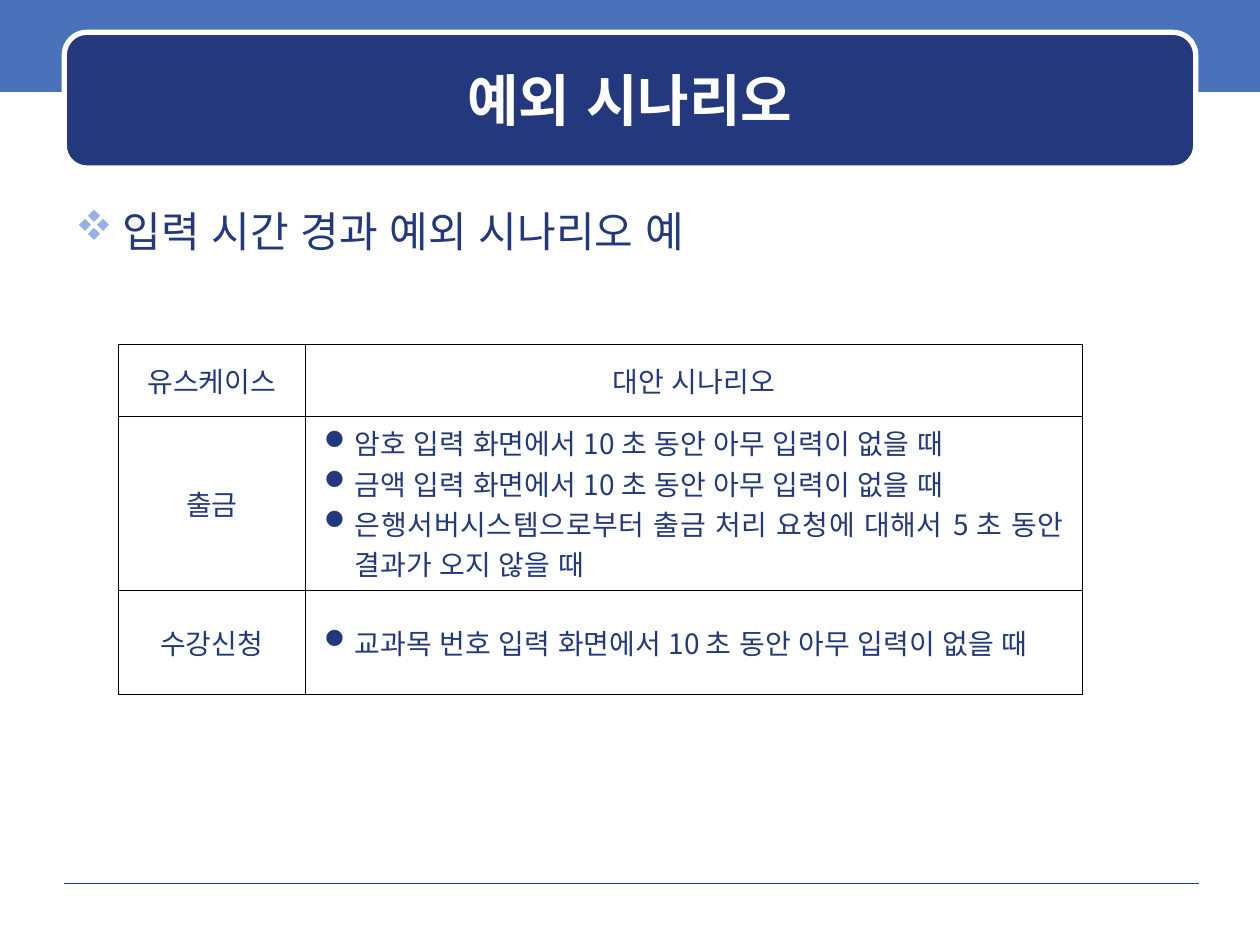
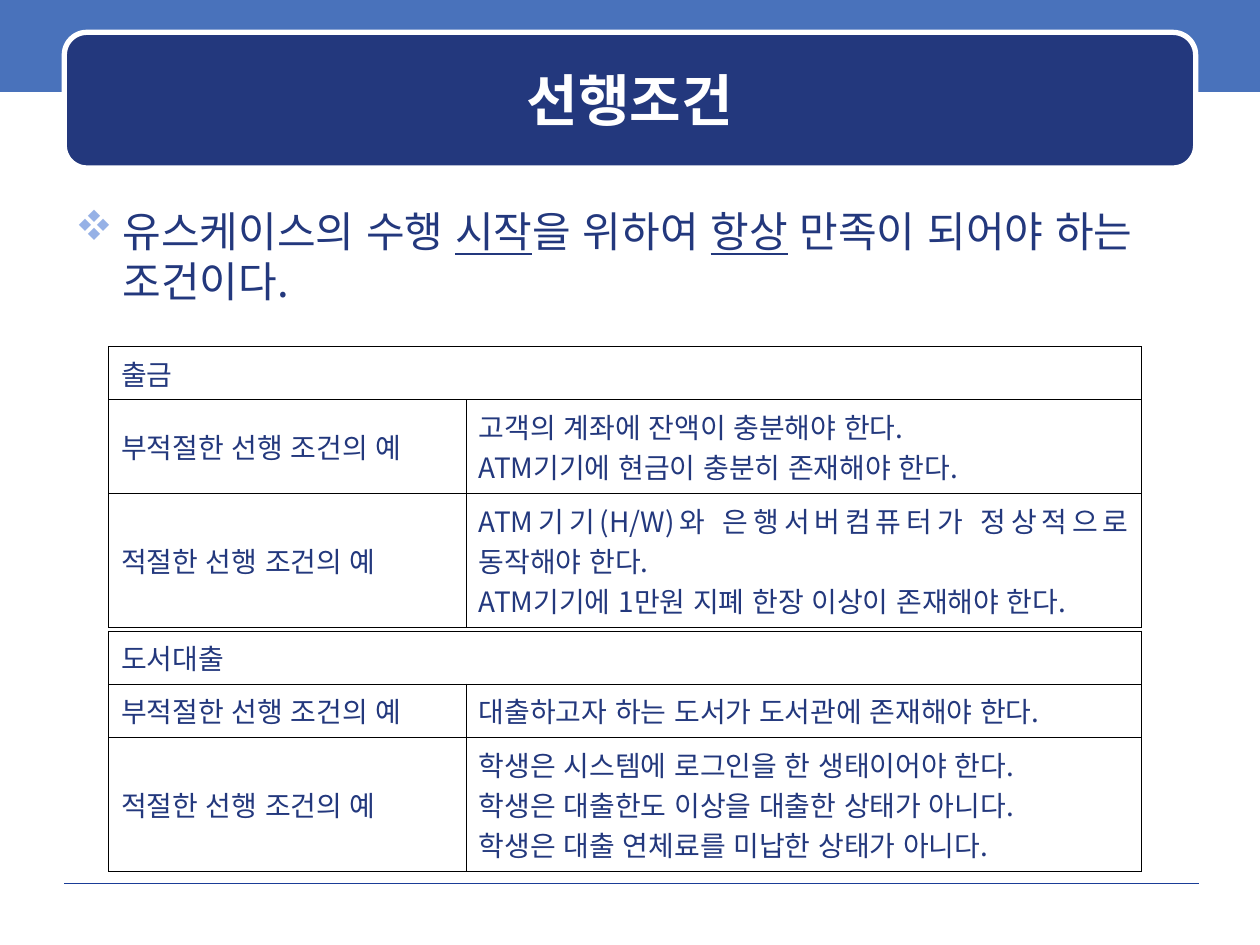
from dataclasses import dataclass
from lxml.etree import SubElement
from pptx import Presentation
from pptx.dml.color import RGBColor
from pptx.enum.lang import MSO_LANGUAGE_ID
from pptx.enum.shapes import MSO_CONNECTOR, MSO_SHAPE
from pptx.enum.text import MSO_ANCHOR, MSO_AUTO_SIZE, PP_ALIGN
from pptx.oxml.ns import qn
from pptx.util import Pt


@dataclass(frozen=True)
class Theme:
    font: str = "Noto Sans CJK KR"
    bullet_font: str = "Wingdings"
    diamond: str = "v"  # four diamonds in the bullet font
    dot: str = "l"  # filled circle in the bullet font
    navy: str = "23387D"
    band: str = "4972BB"
    rule: str = "1A3D97"
    marker: str = "96B1E6"
    white: str = "FFFFFF"
    border: str = "000000"
    title_size: int = 32
    body_size: int = 24
    table_size: int = 16


theme = Theme()


def write(frame, text, size, color=theme.navy, bold=None, align=PP_ALIGN.LEFT,
          bullet=None, bullet_color=theme.navy, indent=0):
    """Write one paragraph per line; words between underscores are underlined."""
    for index, line in enumerate(text.split("\n")):
        para = frame.paragraphs[0] if index == 0 else frame.add_paragraph()
        para.alignment = align
        if bullet:
            props = para._p.get_or_add_pPr()
            props.set("marL", str(Pt(indent)))
            props.set("indent", str(-Pt(indent)))
            SubElement(SubElement(props, qn("a:buClr")), qn("a:srgbClr"), val=bullet_color)
            SubElement(props, qn("a:buFont"), typeface=theme.bullet_font, charset="2")
            SubElement(props, qn("a:buChar"), char=bullet)
        for part, words in enumerate(line.split("_")):
            span = para.add_run()
            span.text = words
            font = span.font
            font.name, font.size, font.bold = theme.font, Pt(size), bold
            font.color.rgb = RGBColor.from_string(color)
            font.language_id = MSO_LANGUAGE_ID.KOREAN
            if part % 2:
                font.underline = True
            SubElement(span._r.rPr, qn("a:ea"), typeface=theme.font)


def style_cell(cell, margin):
    """Give a cell thin borders on all sides, no fill and its margins."""
    cell.vertical_anchor = MSO_ANCHOR.MIDDLE
    cell.margin_left = cell.margin_right = Pt(margin)
    cell.margin_top = cell.margin_bottom = Pt(3.6)
    props = cell._tc.get_or_add_tcPr()
    for side in ("lnL", "lnR", "lnT", "lnB"):
        edge = SubElement(props, qn(f"a:{side}"), w=str(Pt(0.45)))
        fill = SubElement(edge, qn("a:solidFill"))
        SubElement(fill, qn("a:srgbClr"), val=theme.border)
    cell.fill.background()


# Content: a table whose row has a single text spans both columns
center = {"align": PP_ALIGN.CENTER}
justify = {"align": PP_ALIGN.JUSTIFY}
bulleted = {"align": PP_ALIGN.JUSTIFY, "bullet": theme.dot, "indent": 17.5}
one_line, two_lines, three_lines = 30.4, 53.5, 76.7

exception_table = {
    "left": 67.5, "top": 196.75, "margin": 10.8,
    "columns": [107, 444], "heights": [41, 99.5, 59.5],
    "formats": [center, bulleted], "header": center,
    "rows": [
        ["유스케이스", "대안 시나리오"],
        ["출금", "암호 입력 화면에서 10 초 동안 아무 입력이 없을 때\n"
                 "금액 입력 화면에서 10 초 동안 아무 입력이 없을 때\n"
                 "은행서버시스템으로부터 출금 처리 요청에 대해서 5 초 동안 결과가 오지 않을 때"],
        ["수강신청", "교과목 번호 입력 화면에서 10 초 동안 아무 입력이 없을 때"],
    ],
}
condition_style = {
    "left": 62, "margin": 7.2, "columns": [204.5, 386],
    "formats": [justify, justify], "header": justify,
}
withdrawal_table = {
    **condition_style, "top": 198, "heights": [one_line, two_lines, three_lines],
    "rows": [
        ["출금"],
        ["부적절한 선행 조건의 예", "고객의 계좌에 잔액이 충분해야 한다.\n"
                                    "ATM기기에 현금이 충분히 존재해야 한다."],
        ["적절한 선행 조건의 예", "ATM기기(H/W)와 은행서버컴퓨터가 정상적으로 동작해야 한다.\n"
                                  "ATM기기에 1만원 지폐 한장 이상이 존재해야 한다."],
    ],
}
lending_table = {
    **condition_style, "top": 360.5, "heights": [one_line, one_line, three_lines],
    "rows": [
        ["도서대출"],
        ["부적절한 선행 조건의 예", "대출하고자 하는 도서가 도서관에 존재해야 한다."],
        ["적절한 선행 조건의 예", "학생은 시스템에 로그인을 한 생태이어야 한다.\n"
                                  "학생은 대출한도 이상을 대출한 상태가 아니다.\n"
                                  "학생은 대출 연체료를 미납한 상태가 아니다."],
    ],
}
pages = [
    ("예외 시나리오", "입력 시간 경과 예외 시나리오 예", [exception_table]),
    ("선행조건", "유스케이스의 수행 _시작_을 위하여 _항상_ 만족이 되어야 하는 조건이다.",
     [withdrawal_table, lending_table]),
]

deck = Presentation()
deck.slide_width, deck.slide_height = Pt(720), Pt(540)

for heading, statement, tables in pages:
    page = deck.slides.add_slide(deck.slide_layouts[5])
    shapes = page.shapes

    # Top band and title plate
    band = shapes.add_shape(MSO_SHAPE.RECTANGLE, Pt(0), Pt(-2), Pt(720), Pt(54.5))
    plate = shapes.add_shape(MSO_SHAPE.ROUNDED_RECTANGLE, Pt(36.75), Pt(18.5), Pt(646.5), Pt(77.5))
    for shape, color in ((band, theme.band), (plate, theme.navy)):
        shape.shadow.inherit = False
        shape.fill.solid()
        shape.fill.fore_color.rgb = RGBColor.from_string(color)
    band.line.fill.background()
    plate.line.color.rgb = RGBColor.from_string(theme.white)
    plate.line.width = Pt(3)

    # Footer rule
    rule = shapes.add_connector(MSO_CONNECTOR.STRAIGHT, Pt(36.75), Pt(504.75), Pt(685), Pt(504.75))
    rule.line.color.rgb = RGBColor.from_string(theme.rule)
    rule.line.width = Pt(0.25)
    SubElement(rule._element.spPr, qn("a:effectLst"))

    # Title, brought in front of its plate
    title = shapes.title
    title.left, title.top, title.width, title.height = Pt(43), Pt(24.75), Pt(634), Pt(63.5)
    title.text_frame.auto_size = MSO_AUTO_SIZE.NONE
    title.text_frame.vertical_anchor = MSO_ANCHOR.MIDDLE
    write(title.text_frame, heading, theme.title_size, color=theme.white, bold=True,
          align=PP_ALIGN.CENTER)
    shapes._spTree.append(title._element)

    # Statement
    box = shapes.add_textbox(Pt(36), Pt(113.75), Pt(648), Pt(384))
    box.text_frame.word_wrap = True
    write(box.text_frame, statement, theme.body_size, bullet=theme.diamond,
          bullet_color=theme.marker, indent=27)

    # Tables
    for content in tables:
        rows, columns, heights = content["rows"], content["columns"], content["heights"]
        table = shapes.add_table(len(rows), len(columns), Pt(content["left"]), Pt(content["top"]),
                                 Pt(sum(columns)), Pt(sum(heights))).table
        table.first_row = table.horz_banding = False
        for column, width in zip(table.columns, columns):
            column.width = Pt(width)
        for index, (row, height) in enumerate(zip(table.rows, heights)):
            row.height = Pt(height)
            for cell in row.cells:
                style_cell(cell, content["margin"])
            if len(rows[index]) == 1:
                row.cells[0].merge(row.cells[1])
            for cell, text, style in zip(row.cells, rows[index], content["formats"]):
                write(cell.text_frame, text, theme.table_size,
                      **(content["header"] if index == 0 else style))

deck.save("out.pptx")
